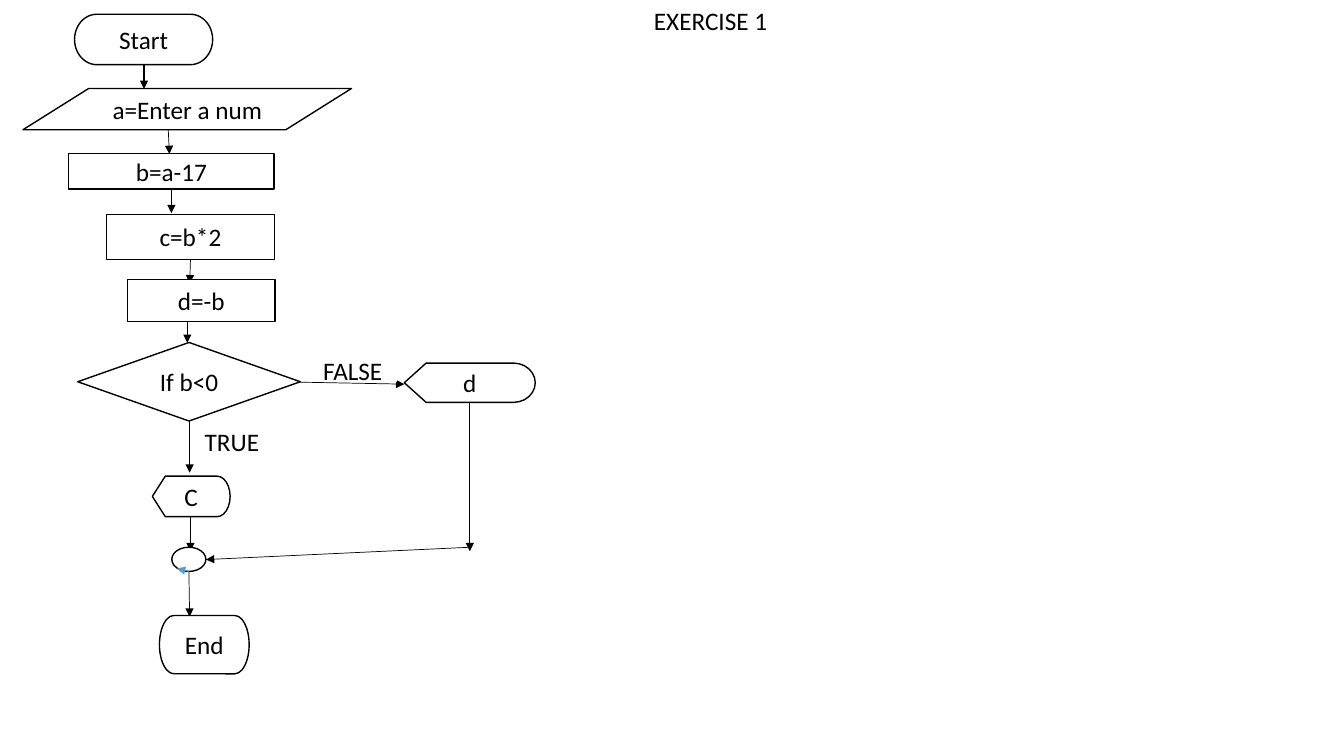
import dataclasses

import pptx
import pptx.dml.color
import pptx.enum.shapes
import pptx.enum.text
import pptx.oxml.ns
import pptx.util
from lxml import etree

Cm = pptx.util.Cm
Kind = pptx.enum.shapes.MSO_SHAPE
Align = pptx.enum.text.PP_ALIGN
Anchor = pptx.enum.text.MSO_ANCHOR


@dataclasses.dataclass(frozen=True)
class Theme:
    font: str = "Calibri"
    size: float = 18
    ink: str = "000000"
    paper: str = "FFFFFF"
    accent: str = "5B9BD5"
    outline: float = 1
    thin: float = 0.5


theme = Theme()


def color(value):
    return pptx.dml.color.RGBColor.from_string(value)


def write(frame, text, align=Align.LEFT, anchor=Anchor.TOP):
    frame.word_wrap = True
    frame.vertical_anchor = anchor
    paragraph = frame.paragraphs[0]
    paragraph.alignment = align
    run = paragraph.add_run()
    run.text = text
    run.font.name = theme.font
    run.font.size = pptx.util.Pt(theme.size)
    run.font.color.rgb = color(theme.ink)


def add_label(slide, text, left, top, width, height):
    label = slide.shapes.add_textbox(Cm(left), Cm(top), Cm(width), Cm(height))
    write(label.text_frame, text)


def add_step(slide, kind, text, left, top, width, height, line=theme.ink):
    shape = slide.shapes.add_shape(kind, Cm(left), Cm(top), Cm(width), Cm(height))
    shape.shadow.inherit = False
    shape.fill.solid()
    shape.fill.fore_color.rgb = color(theme.paper)
    shape.line.color.rgb = color(line)
    shape.line.width = pptx.util.Pt(theme.outline)
    if text:
        write(shape.text_frame, text, Align.CENTER, Anchor.MIDDLE)


def add_arrow(slide, left, top, across, down, width=theme.thin, ink=theme.ink):
    arrow = slide.shapes.add_connector(
        pptx.enum.shapes.MSO_CONNECTOR.STRAIGHT,
        Cm(left), Cm(top), Cm(left + across), Cm(top + down))
    arrow.line.color.rgb = color(ink)
    arrow.line.width = pptx.util.Pt(width)
    qualify = pptx.oxml.ns.qn
    etree.SubElement(arrow.line._get_or_add_ln(), qualify("a:tailEnd"), type="triangle")
    etree.SubElement(arrow._element.spPr, qualify("a:effectLst"))


def add_main_column(slide, left, top):
    steps = [
        (Kind.FLOWCHART_TERMINATOR, "Start", (1.3, 0, 3.48, 1.27), (3.05, 0, 0.61)),
        (Kind.FLOWCHART_DATA, "a=Enter a num", (0, 1.87, 8.28, 1.04), (3.66, 0.03, 0.61)),
        (Kind.FLOWCHART_PROCESS, "b=a-17", (1.15, 3.51, 5.18, 0.89), (3.74, 0, 0.61)),
        (Kind.RECTANGLE, "c=b*2", (2.1, 5.04, 4.24, 1.14), (4.22, -0.02, 0.6)),
        (Kind.RECTANGLE, "d=-b", (2.64, 6.68, 3.71, 1.07), (4.14, 0, 0.53)),
        (Kind.FLOWCHART_DECISION, "If b<0", (1.38, 8.27, 5.61, 1.98), (4.2, 0, 1.3)),
        (Kind.FLOWCHART_DISPLAY, "C", (3.26, 11.64, 1.96, 1.02), (4.22, 0, 0.87)),
        (Kind.FLOWCHART_CONNECTOR, "", (3.75, 13.43, 0.86, 0.61), (4.18, 0.02, 1.14)),
    ]
    for kind, text, (x, y, width, height), (exit_x, across, down) in steps:
        add_step(slide, kind, text, left + x, top + y, width, height)
        weight = theme.outline if text == "Start" else theme.thin
        add_arrow(slide, left + exit_x, top + y + height, across, down, weight)
    add_arrow(slide, left + 4.18, top + 14.04, -0.3, -0.07, ink=theme.accent)
    add_step(slide, Kind.FLOWCHART_TERMINATOR, "End", left + 3.44, top + 15.15, 2.26, 1.47)
    add_label(slide, "TRUE", left + 4.33, top + 10.26, 1.93, 1.02)


def add_false_branch(slide, left, top):
    add_arrow(slide, left, top + 0.63, 2.62, 0.05)
    add_step(slide, Kind.FLOWCHART_PROCESS, "FALSE", left + 0.23, top + 0.04, 2.18, 0.58, theme.paper)
    add_step(slide, Kind.FLOWCHART_DISPLAY, "d", left + 2.62, top + 0.15, 3.3, 0.99)
    exit_x = left + 4.27
    add_arrow(slide, exit_x, top + 1.14, 0, 3.75)
    add_arrow(slide, exit_x, top + 4.79, -6.65, 0.31)


presentation = pptx.Presentation()
presentation.slide_width = Cm(33.87)
presentation.slide_height = Cm(19.05)
slide = presentation.slides.add_slide(presentation.slide_layouts[6])
add_main_column(slide, 0.58, 0.36)
add_false_branch(slide, 7.57, 9)
add_label(slide, "EXERCISE 1", 16.23, 0, 11.3, 1.02)
presentation.save("out.pptx")
